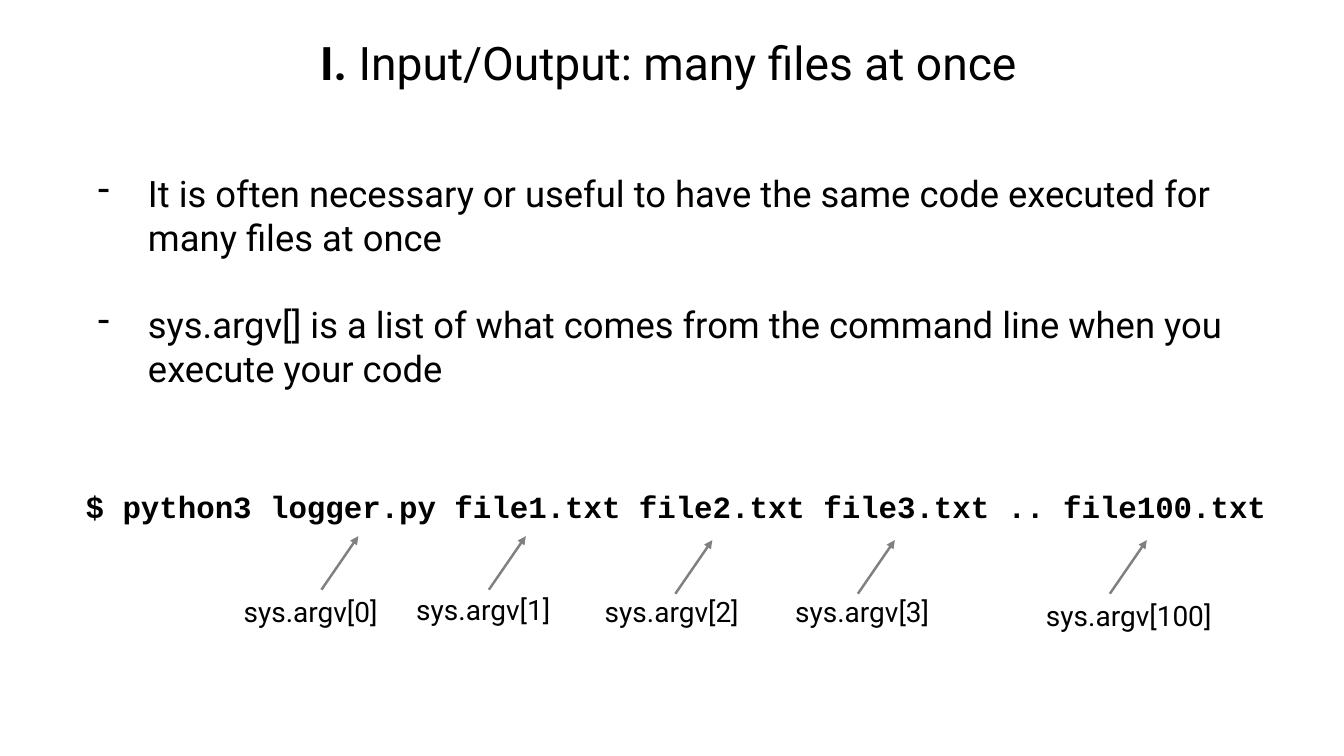
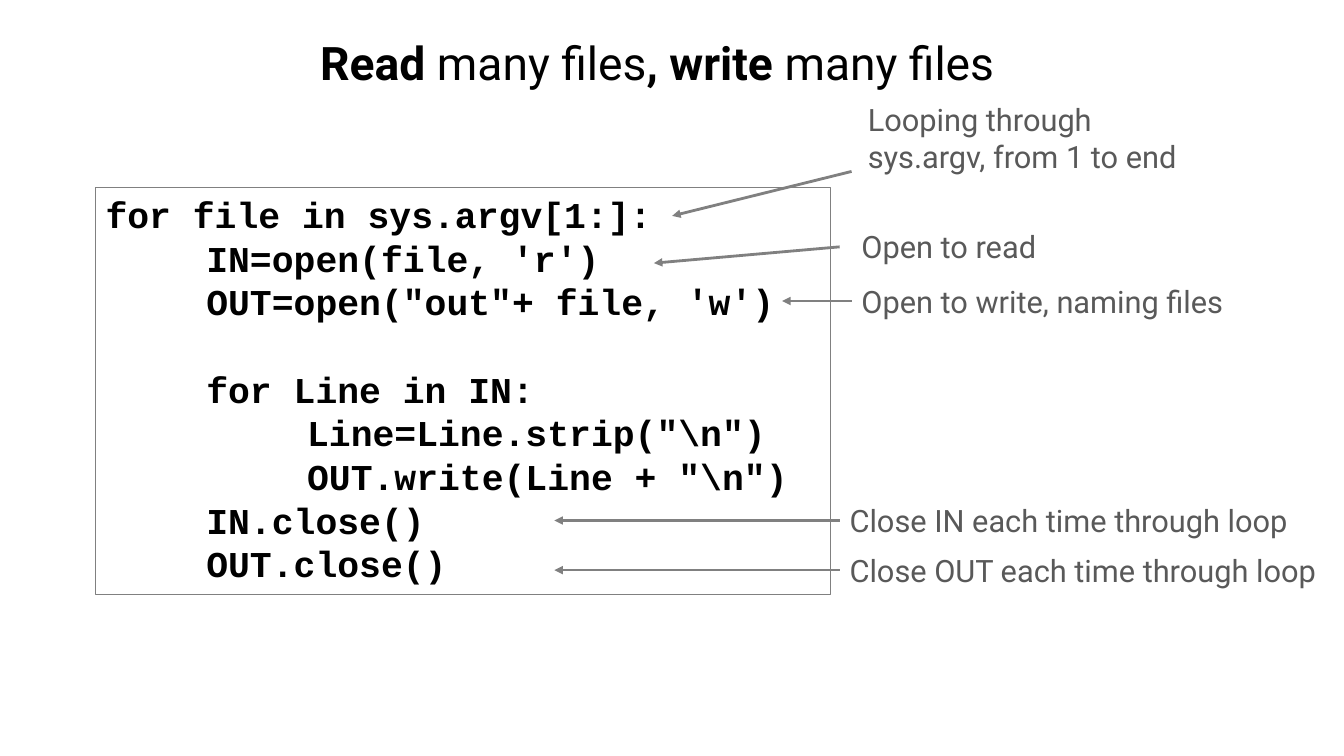
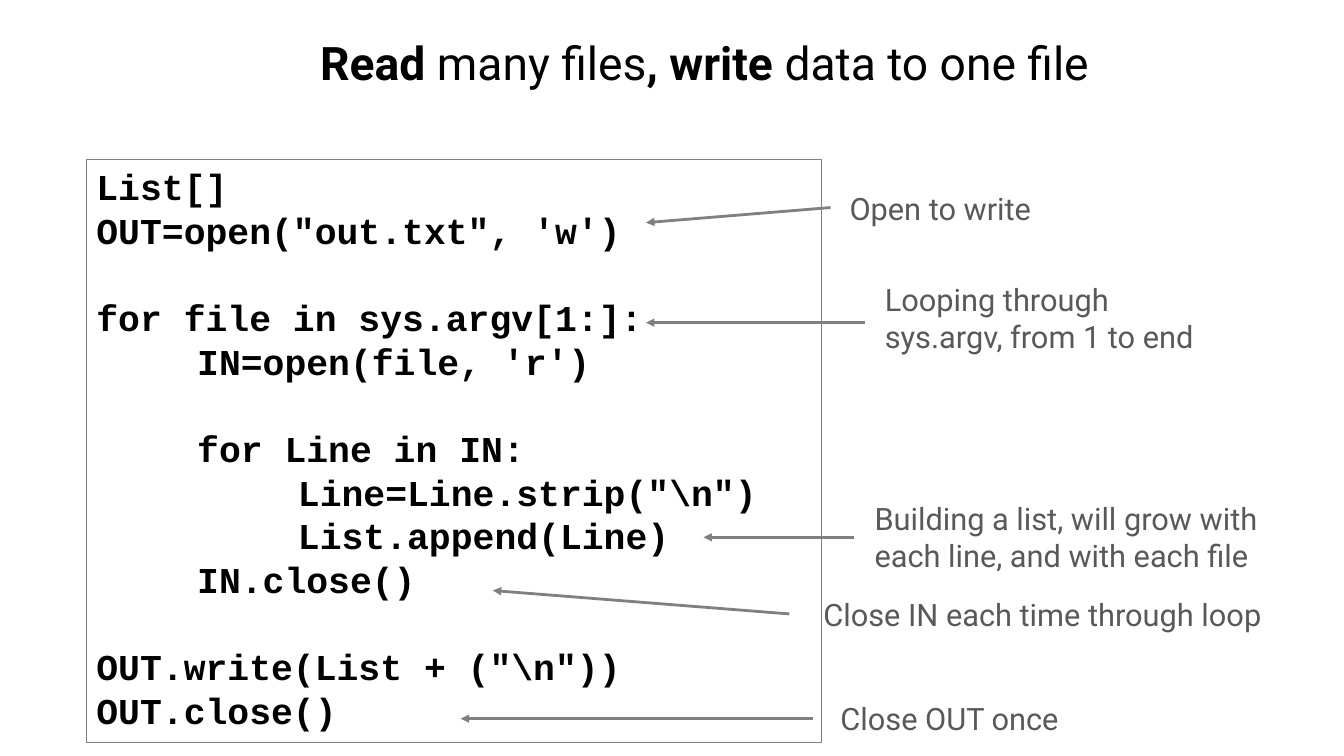
from dataclasses import dataclass

from lxml import etree
from pptx import Presentation
from pptx.dml.color import RGBColor
from pptx.enum.shapes import MSO_CONNECTOR
from pptx.oxml.ns import qn
from pptx.util import Cm, Pt

STRAIGHT = MSO_CONNECTOR.STRAIGHT
LEFT_SIDE = 1


@dataclass(frozen=True)
class Theme:
    text_font: str = "Roboto"
    code_font: str = "Courier New"
    ink: RGBColor = RGBColor(0x00, 0x00, 0x00)
    note_ink: RGBColor = RGBColor(0x59, 0x59, 0x59)
    line: RGBColor = RGBColor(0x80, 0x80, 0x80)
    title_size: Pt = Pt(33)
    body_size: Pt = Pt(26)
    note_size: Pt = Pt(22)
    label_size: Pt = Pt(20)
    blank_line: Pt = Pt(31.2)
    frame_width: Pt = Pt(0.75)
    label_arrow_width: Pt = Pt(1.75)
    note_arrow_width: Pt = Pt(2)
    bullet_indent: Cm = Cm(1.27)
    code_indent: Cm = Cm(2.54)
    line_height: Cm = Cm(1.19)


THEME = Theme()


def add_text(slide, left, top, width, height, lines, size,
             font=THEME.text_font, color=THEME.ink, bold=False):
    """Add a text box with one paragraph per line; a line is a string."""
    box = slide.shapes.add_textbox(left, top, width, height)
    frame = box.text_frame
    frame.word_wrap = True
    for index, line in enumerate(lines):
        paragraph = frame.add_paragraph() if index else frame.paragraphs[0]
        paragraph.text = line
        paragraph.font.name = font
        paragraph.font.size = size
        paragraph.font.color.rgb = color
        paragraph.font.bold = bold
    return box


def add_title(slide, segments):
    """Add the title from (text, bold) pairs."""
    box = add_text(slide, Cm(7.82), Cm(0.74), Cm(22.86), Cm(1.68), [""], THEME.title_size)
    paragraph = box.text_frame.paragraphs[0]
    for text, bold in segments:
        run = paragraph.add_run()
        run.text = text
        run.font.bold = bold


def add_bullets(slide, left, top, width, height, lines):
    box = add_text(slide, left, top, width, height, lines, THEME.body_size)
    for index, paragraph in enumerate(box.text_frame.paragraphs):
        if index:
            paragraph.space_before = THEME.blank_line
        properties = paragraph._p.get_or_add_pPr()
        properties.set("marL", str(THEME.bullet_indent))
        properties.set("indent", str(-THEME.bullet_indent))
        bullet = etree.Element(qn("a:buChar"), char="-")
        properties.insert_element_before(bullet, "a:tabLst", "a:defRPr", "a:extLst")


def add_code(slide, left, top, height, blocks):
    """Add framed code; blocks of (level, text) lines stand one line apart."""
    lines = [line for block in blocks for line in block]
    box = add_text(slide, left, top, Cm(18.52), height, [text for _, text in lines],
                   THEME.body_size, THEME.code_font, bold=True)
    box.line.color.rgb = THEME.line
    box.line.width = THEME.frame_width
    paragraphs = box.text_frame.paragraphs
    for paragraph, (level, _) in zip(paragraphs, lines):
        paragraph._p.get_or_add_pPr().set("marL", str(level * THEME.code_indent))
    block_start = 0
    for block in blocks[:-1]:
        block_start += len(block)
        paragraphs[block_start].space_before = THEME.blank_line


def add_arrow(slide, start, end, width):
    arrow = slide.shapes.add_connector(STRAIGHT, *start, *end)
    arrow.line.color.rgb = THEME.line
    arrow.line.width = width
    etree.SubElement(arrow.line._get_or_add_ln(), qn("a:tailEnd"), type="triangle")
    etree.SubElement(arrow._element.spPr, qn("a:effectLst"))
    return arrow


def add_note(slide, text, left, top, width, tip, start=None, line_count=1):
    """Add a note and its arrow, joined to the note unless a start is given."""
    height = THEME.line_height if line_count == 1 else Cm(2.13)
    box = add_text(slide, left, top, width, height, [text],
                   THEME.note_size, color=THEME.note_ink)
    if start:
        add_arrow(slide, start, tip, THEME.note_arrow_width)
    else:
        middle = top + height // 2
        arrow = add_arrow(slide, (left, middle), (tip[0], middle), THEME.note_arrow_width)
        arrow.begin_connect(box, LEFT_SIDE)


def build_arguments_slide(slide):
    add_title(slide, [("I. ", True), ("Input/Output: many files at once", False)])
    add_bullets(slide, Cm(2.21), Cm(4.19), Cm(30.86), Cm(5.82), [
        "It is often necessary or useful to have the same code executed for many files at once",
        "sys.argv[] is a list of what comes from the command line when you execute your code",
    ])
    add_text(slide, Cm(1.91), Cm(12.17), Cm(30.86), THEME.line_height,
             ["$ python3 logger.py file1.txt file2.txt file3.txt .. file100.txt"],
             THEME.note_size, THEME.code_font, bold=True)
    arguments = [
        (0, 5.89, 14.86, 8.1, 14.86),
        (1, 10.24, 14.81, 12.32, 14.86),
        (2, 14.99, 14.86, 17.02, 14.96),
        (3, 19.79, 14.86, 21.62, 14.96),
        (100, 26.11, 14.96, 27.97, 14.96),
    ]
    for number, left, top, arrow_x, arrow_y in arguments:
        add_arrow(slide, (Cm(arrow_x), Cm(arrow_y)),
                  (Cm(arrow_x + 0.93), Cm(arrow_y - 1.35)), THEME.label_arrow_width)
        add_text(slide, Cm(left), Cm(top), Cm(4.85), Cm(1.12),
                 [f"sys.argv[{number}]"], THEME.label_size)


def build_many_outputs_slide(slide):
    add_title(slide, [("Read ", True), ("many files", False),
                      (", write ", True), ("many files", False)])
    add_code(slide, Cm(2.41), Cm(4.72), Cm(10.26), [
        [(0, "for file in sys.argv[1:]:"),
         (1, "IN=open(file, 'r')"),
         (1, "OUT=open(\"out\"+ file, 'w')")],
        [(1, "for Line in IN:"),
         (2, "Line=Line.strip(\"\\n\")"),
         (2, "OUT.write(Line + \"\\n\")"),
         (1, "IN.close()"),
         (1, "OUT.close()")],
    ])
    add_note(slide, "Looping through sys.argv, from 1 to end", Cm(21.62), Cm(2.41), Cm(8.56),
             (Cm(16.94), Cm(5.44)), (Cm(21.46), Cm(4.32)), line_count=2)
    add_note(slide, "Open to read", Cm(21.46), Cm(5.61), Cm(8.56),
             (Cm(16.48), Cm(6.63)), (Cm(21.16), Cm(6.22)))
    add_note(slide, "Open to write, naming files", Cm(21.46), Cm(6.99), Cm(10.01),
             (Cm(19.71), Cm(7.58)))
    add_note(slide, "Close IN each time through loop", Cm(21.16), Cm(12.52), Cm(11.79),
             (Cm(13.97), Cm(13.12)))
    add_note(slide, "Close OUT each time through loop", Cm(21.16), Cm(13.77), Cm(12.73),
             (Cm(13.97), Cm(14.37)))


def build_one_output_slide(slide):
    add_title(slide, [("Read ", True), ("many files", False),
                      (", write ", True), ("data to one file", False)])
    add_code(slide, Cm(2.18), Cm(4.01), Cm(14.71), [
        [(0, "List[]"),
         (0, "OUT=open(\"out.txt\", 'w')")],
        [(0, "for file in sys.argv[1:]:"),
         (1, "IN=open(file, 'r')")],
        [(1, "for Line in IN:"),
         (2, "Line=Line.strip(\"\\n\")"),
         (2, "List.append(Line)"),
         (1, "IN.close()")],
        [(0, "OUT.write(List + (\"\\n\"))"),
         (0, "OUT.close()")],
    ])
    add_note(slide, "Open to write", Cm(21.16), Cm(4.65), Cm(5.46),
             (Cm(16.28), Cm(5.61)), (Cm(20.93), Cm(5.23)))
    add_note(slide, "Looping through sys.argv, from 1 to end", Cm(22.05), Cm(6.96), Cm(8.56),
             (Cm(16.28), Cm(8.13)), (Cm(21.79), Cm(8.13)), line_count=2)
    add_note(slide, "Building a list, will grow with each line, and with each file",
             Cm(21.79), Cm(12.47), Cm(11.79),
             (Cm(17.73), Cm(13.54)), (Cm(21.51), Cm(13.54)), line_count=2)
    add_note(slide, "Close IN each time through loop", Cm(20.5), Cm(14.88), Cm(11.79),
             (Cm(12.42), Cm(14.88)), (Cm(19.89), Cm(15.47)))
    add_note(slide, "Close OUT once", Cm(20.93), Cm(17.5), Cm(12.73),
             (Cm(11.61), Cm(18.11)), (Cm(20.5), Cm(18.11)))


def main():
    presentation = Presentation()
    presentation.slide_width = Cm(33.87)
    presentation.slide_height = Cm(19.05)
    blank_layout = presentation.slide_layouts[6]
    for build in (build_arguments_slide, build_many_outputs_slide, build_one_output_slide):
        build(presentation.slides.add_slide(blank_layout))
    presentation.save("out.pptx")


if __name__ == "__main__":
    main()
